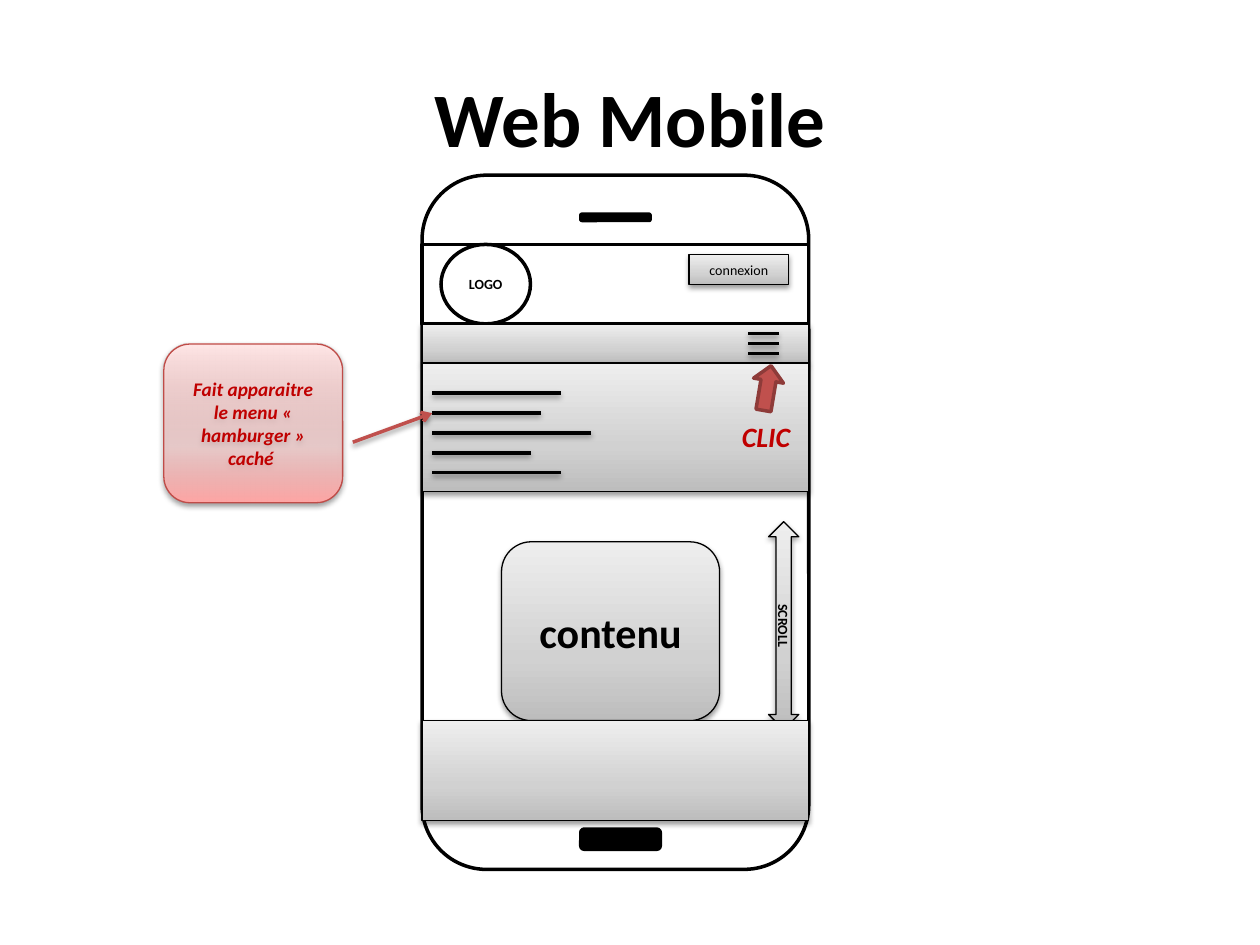
import pptx
import pptx.util
import pptx.dml.color
import pptx.enum.shapes
import pptx.enum.text
import pptx.oxml.ns
from lxml import etree

Pt = pptx.util.Pt
qn = pptx.oxml.ns.qn
SHAPE = pptx.enum.shapes.MSO_SHAPE
ALIGN = pptx.enum.text.PP_ALIGN
ANCHOR = pptx.enum.text.MSO_ANCHOR

BLACK, WHITE, RED, DARK_RED = "000000", "FFFFFF", "C0504D", "C00000"
# Gradient stops: position in percent, colour, opacity in percent
GREY_STOPS = [(0, "BDBDBD", 100), (35, "D1D1D1", 100), (100, "EEEEEE", 100)]
PINK_STOPS = [(0, "FFA6A5", 100), (36, "FFC0BF", 46), (100, "FFE7E7", 100)]


def color(value):
    return pptx.dml.color.RGBColor.from_string(value)


def add_color(parent, value, opacity):
    element = etree.SubElement(parent, qn("a:srgbClr"), val=value)
    if opacity < 100:
        etree.SubElement(element, qn("a:alpha"), val=str(opacity * 1000))


def set_effects(shape, shadow):
    """Call after fill and line are set, so that the effects come last."""
    effects = etree.SubElement(shape._element.spPr, qn("a:effectLst"))
    if shadow:
        outer = etree.SubElement(effects, qn("a:outerShdw"), blurRad=str(Pt(3.1)),
                                 dist=str(Pt(1.6)), dir="5400000", rotWithShape="0")
        add_color(outer, BLACK, 38)


def set_gradient(shape, stops):
    shape.fill.gradient()
    shape.fill.gradient_angle = 90
    stop_list = shape._element.spPr.find(qn("a:gradFill")).find(qn("a:gsLst"))
    for stop in list(stop_list):
        stop_list.remove(stop)
    for position, value, opacity in stops:
        stop = etree.SubElement(stop_list, qn("a:gs"), pos=str(position * 1000))
        add_color(stop, value, opacity)


def write_text(shape, text, size=8, font_color=BLACK, bold=True, italic=False,
               align=ALIGN.CENTER, anchor=ANCHOR.MIDDLE, wrap=True):
    frame = shape.text_frame
    frame.word_wrap = wrap
    frame.vertical_anchor = anchor
    paragraph = frame.paragraphs[0]
    paragraph.text = text
    paragraph.alignment = align
    font = paragraph.runs[0].font
    font.name, font.size = "Calibri", Pt(size)
    font.bold, font.italic = bold, italic
    font.color.rgb = color(font_color)


def add_label(slide, box, text, rotation=0, **text_format):
    label = slide.shapes.add_textbox(*map(Pt, box))
    label.rotation = rotation
    write_text(label, text, align=ALIGN.LEFT, anchor=ANCHOR.TOP, wrap=False, **text_format)


def add_block(slide, kind, box, fill=WHITE, line=BLACK, width=2, shadow=False, rotation=0):
    """Add a preset shape; fill is a hex colour or a list of gradient stops."""
    shape = slide.shapes.add_shape(kind, *map(Pt, box))
    shape.rotation = rotation
    if isinstance(fill, str):
        shape.fill.solid()
        shape.fill.fore_color.rgb = color(fill)
    else:
        set_gradient(shape, fill)
    shape.line.color.rgb = color(line)
    shape.line.width = Pt(width)
    set_effects(shape, shadow)
    return shape


def add_panel(slide, kind, box, fill=GREY_STOPS, line=BLACK):
    return add_block(slide, kind, box, fill=fill, line=line, width=0.75, shadow=True)


def add_line(slide, start, end, line=BLACK, arrow=False):
    connector = slide.shapes.add_connector(
        pptx.enum.shapes.MSO_CONNECTOR.STRAIGHT, *map(Pt, start + end))
    connector.line.color.rgb = color(line)
    connector.line.width = Pt(2)
    if arrow:
        etree.SubElement(connector.line._get_or_add_ln(), qn("a:tailEnd"), type="arrow")
    set_effects(connector, True)


def add_title(slide, box, text):
    title = slide.shapes.title
    title.left, title.top, title.width, title.height = map(Pt, box)
    write_text(title, text, size=44)


def add_phone_body(slide, box):
    left, top, width, height = box
    add_block(slide, SHAPE.ROUNDED_RECTANGLE, box)
    for offset, key_width, key_height in ((22.3, 39.6, 3.6), (373.7, 45.4, 11.5)):
        add_block(slide, SHAPE.ROUNDED_RECTANGLE,
                  (left + 90.7, top + offset, key_width, key_height), fill=BLACK)


def add_content(slide, box):
    left, top, width, height = box
    content = add_panel(slide, SHAPE.ROUNDED_RECTANGLE,
                        (left + 45.4, top + 28.8, 124.6, 102.2))
    write_text(content, "contenu", size=24)
    add_panel(slide, SHAPE.UP_DOWN_ARROW, (left + 198, top + 17.3, 17.3, 118.8))
    add_label(slide, (left + 179.3, top + 75.6, 54, 17.3), "SCROLL", rotation=90)


def add_header(slide, box):
    left, top, width, height = box
    add_block(slide, SHAPE.RECTANGLE, box)
    logo = add_block(slide, SHAPE.OVAL, (left + 10.8, top, 51.1, height))
    write_text(logo, "LOGO")
    button = add_panel(slide, SHAPE.RECTANGLE, (left + 152.6, top + 5.8, 56.9, 17.3))
    write_text(button, "connexion", bold=False)


def add_navigation(slide, box):
    left, top, width, height = box
    add_panel(slide, SHAPE.RECTANGLE, box)
    for row in range(3):
        y = top + height / 2 + (row - 1) * 5.7
        add_line(slide, (left + 186.5, y), (left + 203.8, y))


def add_menu(slide, box):
    left, top, width, height = box
    add_panel(slide, SHAPE.RECTANGLE, box)
    for row, length in enumerate((73.4, 61.9, 90.7, 56.2, 73.4)):
        y = top + 17.3 + row * 11.35
        add_line(slide, (left + 5.8, y), (left + 5.8 + length, y))
    add_block(slide, SHAPE.UP_ARROW, (left + 188.6, top + 1.4, 17.3, 25.9),
              fill=RED, line="8E3B39", rotation=9.6)
    add_label(slide, (left + 175.7, top + 28.8, 47.5, 26.6), "CLIC",
              size=16, font_color=DARK_RED, italic=True)


def add_phone(slide, box):
    left, top, width, height = box
    add_phone_body(slide, box)
    add_content(slide, (left, top + 180.7, width, 131.1))
    add_header(slide, (left, top + 39.6, width, 45.4))
    add_navigation(slide, (left, top + 85, width, 22.3))
    add_menu(slide, (left, top + 107.3, width, 73.4))
    add_panel(slide, SHAPE.RECTANGLE, (left, top + 311.8, width, 56.9))


def add_callout(slide, box, target):
    left, top, width, height = box
    callout = add_panel(slide, SHAPE.ROUNDED_RECTANGLE, box, fill=PINK_STOPS, line="BF4C48")
    write_text(callout, "Fait apparaitre le menu « hamburger » caché ",
               size=11, font_color=DARK_RED, italic=True)
    add_line(slide, (left + width + 5.8, top + 56.1), target, line=RED, arrow=True)


def main():
    presentation = pptx.Presentation()
    presentation.slide_width, presentation.slide_height = Pt(720), Pt(540)
    slide = presentation.slides.add_slide(presentation.slide_layouts[5])
    add_title(slide, (36, 21.6, 648, 90), "Web Mobile")
    add_phone(slide, (241.2, 100.1, 221, 396.7))
    add_callout(slide, (93.6, 196.6, 102.2, 90.7), target=(247, 236.1))
    presentation.save("out.pptx")


if __name__ == "__main__":
    main()
